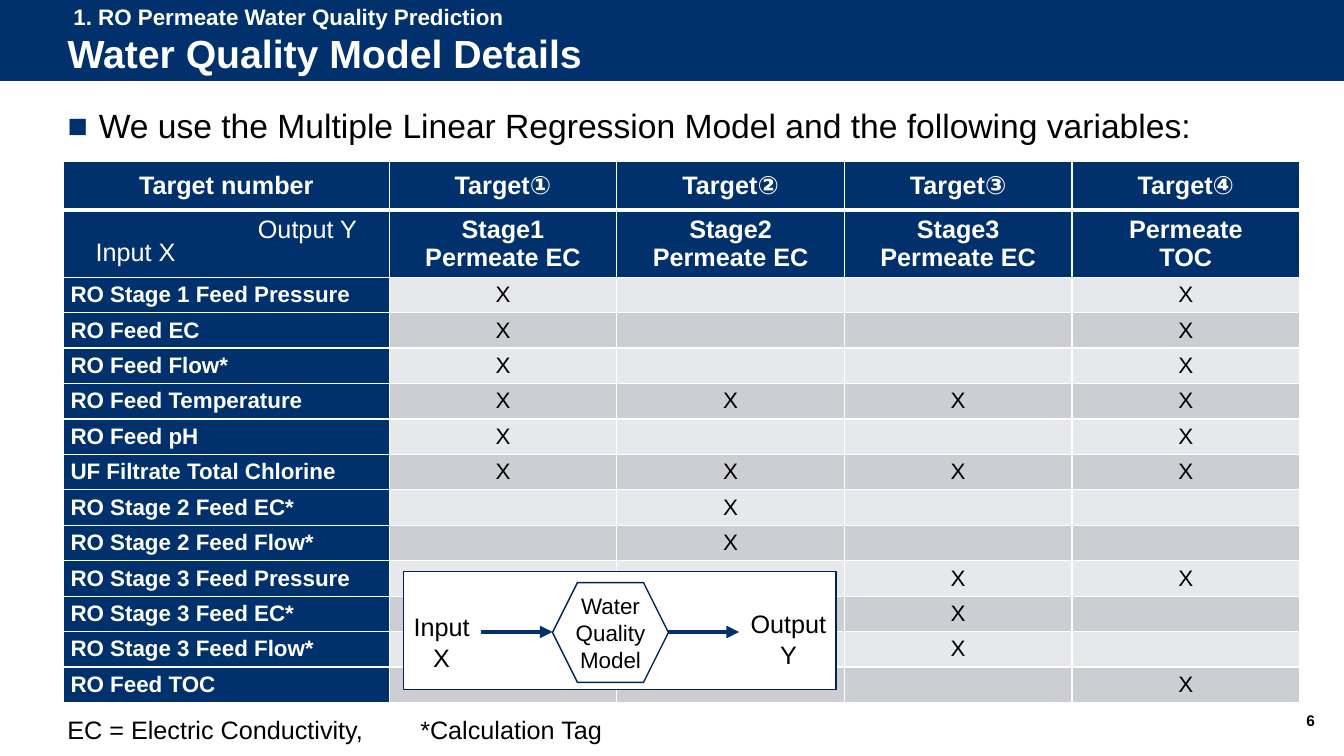
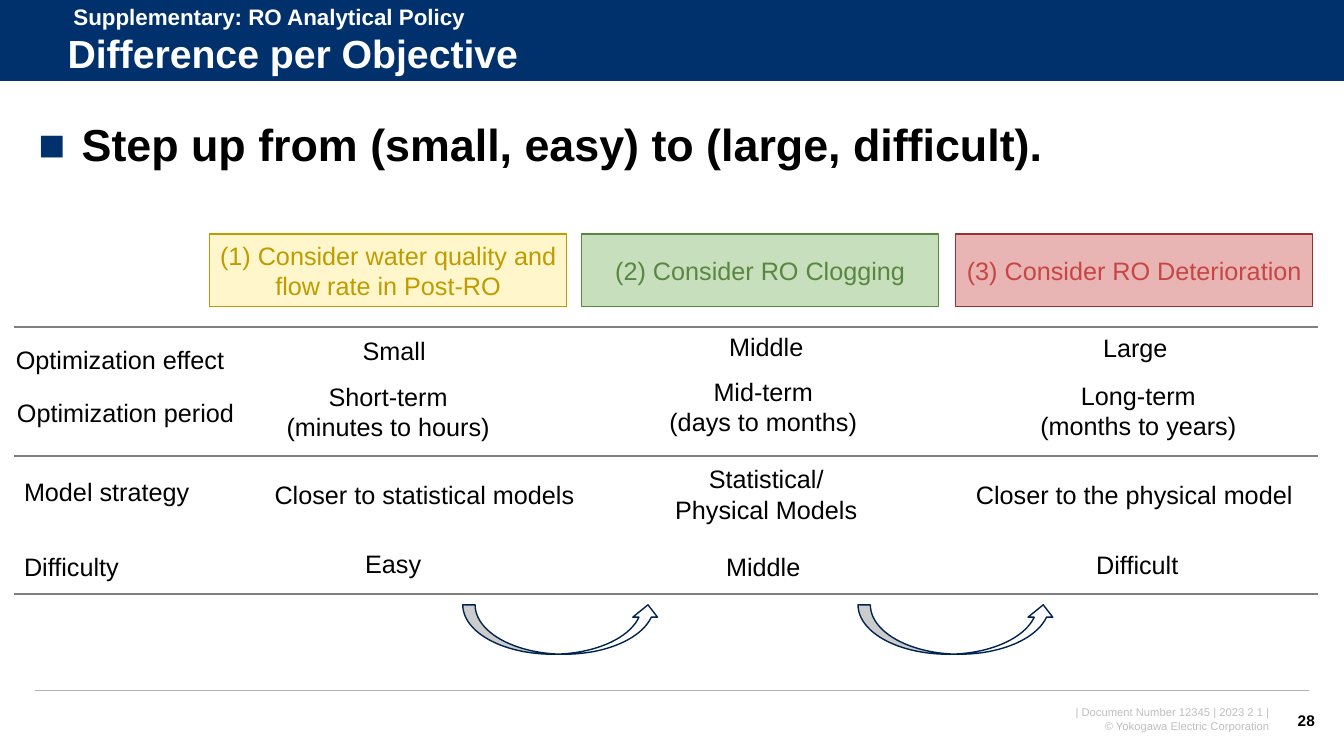
from lxml import etree
from pptx import Presentation
from pptx.dml.color import RGBColor
from pptx.enum import shapes, text
from pptx.oxml import ns
from pptx.util import Inches, Pt

FONT = "Arial"
COLORS = {
    "navy": "00316C", "outline": "002450", "white": "FFFFFF", "black": "000000",
    "row_light": "E7E8EB", "row_dark": "CCCED4", "rule": "808080",
    "foot_rule": "B2B2B2", "foot_text": "BFBFBF",
    "yellow": "FFF6CC", "yellow_edge": "BE9C00",
    "green": "C8DFBD", "green_edge": "588740",
    "red": "E9B5B4", "red_edge": "9A302E", "red_text": "C74643",
}
CENTER, LEFT, RIGHT = text.PP_ALIGN.CENTER, text.PP_ALIGN.LEFT, text.PP_ALIGN.RIGHT
MIDDLE, TOP = text.MSO_ANCHOR.MIDDLE, text.MSO_ANCHOR.TOP
SHAPE = shapes.MSO_SHAPE

SLIDE_W, SLIDE_H = 13.33, 7.5
BAND_H = 0.81
TITLE_BOX = (0.57, 0.27, 12.47, 0.57)
SECTION_BOX = (0.63, -0.02, 9.24, 0.37)
NUMBER_BOX = (12.7, 6.95, 0.44, 0.4)

TARGETS = ["Target①", "Target②", "Target③", "Target④"]
OUTPUTS = ["Stage1\vPermeate EC", "Stage2\vPermeate EC",
           "Stage3\vPermeate EC", "Permeate\vTOC"]
INPUTS = {  # input variable: numbers of the targets that use it
    "RO Stage 1 Feed Pressure": "14",
    "RO Feed EC": "14",
    "RO Feed Flow*": "14",
    "RO Feed Temperature": "1234",
    "RO Feed pH": "14",
    "UF Filtrate Total Chlorine": "1234",
    "RO Stage 2 Feed EC*": "2",
    "RO Stage 2 Feed Flow*": "2",
    "RO Stage 3 Feed Pressure": "34",
    "RO Stage 3 Feed EC*": "3",
    "RO Stage 3 Feed Flow*": "3",
    "RO Feed TOC": "4",
}

OBJECTIVES = [  # text, left, fill, edge, text colour
    ("(1) Consider water quality and flow rate in Post-RO", 2.08,
     "yellow", "yellow_edge", "yellow_edge"),
    ("(2) Consider RO Clogging", 5.77, "green", "green_edge", "green_edge"),
    ("(3) Consider RO Deterioration", 9.48, "red", "red_edge", "red_text"),
]
CRITERIA = [  # (label, left, top), then (text, centre, top) for each objective
    (("Optimization effect", 0.06, 3.37),
     [("Small", 3.91, 3.28), ("Middle", 7.6, 3.24), ("Large", 11.26, 3.25)]),
    (("Optimization period", 0.07, 3.89),
     [("Short-term\n(minutes to hours)", 3.85, 3.73),
      ("Mid-term\n(days to months)", 7.57, 3.68),
      ("Long-term\n(months to years)", 11.29, 3.72)]),
    (("Model strategy", 0.14, 4.68),
     [("Closer to statistical models", 4.21, 4.71),
      ("Statistical/\vPhysical Models", 7.6, 4.55),
      ("Closer to the physical model", 11.25, 4.71)]),
    (("Difficulty", 0.14, 5.42),
     [("Easy", 3.9, 5.39), ("Middle", 7.57, 5.42), ("Difficult", 11.28, 5.4)]),
]


def rgb(name):
    return RGBColor.from_string(COLORS[name])


def set_all(obj, values):
    for name, value in values.items():
        setattr(obj, name, value)


def inches(*lengths):
    return [Inches(n) for n in lengths]


def place(sp, box):
    set_all(sp, dict(zip(("left", "top", "width", "height"), inches(*box))))


def write(tf, words, size=18, color="black", bold=False, align=LEFT, **spacing):
    """Fill a text frame; each line of words becomes a paragraph."""
    tf.text = words
    for p in tf.paragraphs:
        set_all(p, {"alignment": align, **spacing})
        for r in p.runs:
            set_all(r.font, {"name": FONT, "size": Pt(size), "bold": bold})
            r.font.color.rgb = rgb(color)


def add_text(parent, box, words, anchor=TOP, wrap=True, **fmt):
    tf = parent.shapes.add_textbox(*inches(*box)).text_frame
    set_all(tf, {"word_wrap": wrap, "vertical_anchor": anchor})
    write(tf, words, **fmt)
    return tf


def add_box(parent, kind, box, fill, edge=None):
    sp = parent.shapes.add_shape(kind, *inches(*box))
    sp.shadow.inherit = False
    sp.fill.solid()
    sp.fill.fore_color.rgb = rgb(fill)
    if edge:
        sp.line.color.rgb = rgb(edge)
        sp.line.width = Pt(1)
    else:
        sp.line.fill.background()
    return sp


def add_line(parent, start, end, color, width, arrow=False):
    cx = parent.shapes.add_connector(
        shapes.MSO_CONNECTOR.STRAIGHT, *inches(*start, *end))
    cx.line.color.rgb = rgb(color)
    cx.line.width = Pt(width)
    if arrow:
        etree.SubElement(cx.line._get_or_add_ln(), ns.qn("a:tailEnd"), type="triangle")
    etree.SubElement(cx.element.spPr, ns.qn("a:effectLst"))
    return cx


def move_to_layout(layout, parts):
    """Put shapes behind everything else on the layout."""
    for i, sp in enumerate(parts):
        sp.element.xpath(".//p:cNvPr")[0].set("id", str(100 + i))
        layout.shapes.element.insert(2 + i, sp.element)


def add_title_band(s):
    move_to_layout(s.slide_layout, [
        add_box(s, SHAPE.RECTANGLE, (0, 0, SLIDE_W, BAND_H), "navy"),
        add_line(s, (0, BAND_H), (SLIDE_W, BAND_H), "white", 0.75),
    ])


def add_slide(prs, section, title, number):
    s = prs.slides.add_slide(prs.slide_layouts[1])
    sp = s.shapes.title
    place(sp, TITLE_BOX)
    set_all(sp.text_frame, {"vertical_anchor": MIDDLE,
                            "auto_size": text.MSO_AUTO_SIZE.NONE})
    write(sp.text_frame, title, 28, "white", True, line_spacing=0.9)
    add_text(s, SECTION_BOX, section, size=16, color="white", bold=True)
    add_text(s, NUMBER_BOX, number, MIDDLE, False, size=11, bold=True, align=RIGHT)
    return s


def fill_body(s, box, words, indent, **fmt):
    """Write the square-bulleted statement in the body placeholder."""
    sp = s.placeholders[1]
    place(sp, box)
    sp.text_frame.auto_size = text.MSO_AUTO_SIZE.NONE
    write(sp.text_frame, words, line_spacing=0.9, space_before=Pt(0), **fmt)
    pPr = sp.text_frame.paragraphs[0]._p.get_or_add_pPr()
    pPr.set("marL", str(Inches(indent)))
    pPr.set("indent", str(-Inches(indent)))
    clr = etree.SubElement(pPr, ns.qn("a:buClr"))
    etree.SubElement(clr, ns.qn("a:srgbClr"), val=COLORS["navy"])
    etree.SubElement(pPr, ns.qn("a:buFont"), typeface=FONT)
    etree.SubElement(pPr, ns.qn("a:buChar"), char="■")


def add_footer(s, box):
    add_line(s, (0.35, 6.85), (12.98, 6.85), "foot_rule", 1)
    add_text(s, box, "| Document Number 12345 | 2023 2 1 |\n"
             "© Yokogawa Electric Corporation", size=8, color="foot_text", align=RIGHT)


def format_cell(cell, words, fill, below=1, **fmt):
    tcPr = cell._tc.get_or_add_tcPr()
    for side, width in (("L", 1), ("R", 1), ("T", 1), ("B", below)):
        ln = etree.SubElement(tcPr, ns.qn("a:ln" + side), w=str(Pt(width)))
        paint = etree.SubElement(ln, ns.qn("a:solidFill"))
        etree.SubElement(paint, ns.qn("a:srgbClr"), val=COLORS["white"])
    cell.fill.solid()
    cell.fill.fore_color.rgb = rgb(fill)
    set_all(cell, {"margin_left": Inches(0.07), "margin_right": Inches(0.07),
                   "margin_top": 0, "margin_bottom": 0, "vertical_anchor": MIDDLE})
    if words:
        write(cell.text_frame, words, space_after=Pt(6), **fmt)


def add_variable_table(s, box):
    left, top, width, height = box
    heights = [0.48, 0.67]
    heights += [(height - sum(heights)) / len(INPUTS)] * len(INPUTS)
    first = 3.23
    table = s.shapes.add_table(len(heights), 5, *inches(*box)).table
    for row, h in zip(table.rows, heights):
        row.height = Inches(h)
    for i, col in enumerate(table.columns):
        col.width = Inches((width - first) / 4 if i else first)

    head = {"color": "white", "bold": True}
    for r, names in enumerate((["Target number"] + TARGETS, [""] + OUTPUTS)):
        for c, name in enumerate(names):
            format_cell(table.cell(r, c), name, "navy", 1 if r else 3,
                        align=CENTER, **head)
    for r, (name, used) in enumerate(INPUTS.items(), 2):
        format_cell(table.cell(r, 0), name, "navy", size=16, **head)
        for c in range(1, 5):
            format_cell(table.cell(r, c), "X" if str(c) in used else "",
                        "row_dark" if r % 2 else "row_light", size=16, align=CENTER)
    add_text(s, (left + 1.83, top + 0.47, 1.19, 0.4), "Output Y", wrap=False, color="white")
    add_text(s, (left + 0.22, top + 0.7, 1, 0.4), "Input X", wrap=False, color="white")


def add_model_diagram(s, box):
    left, top, width, height = box
    g = s.shapes.add_group_shape()
    add_box(g, SHAPE.RECTANGLE, box, "white", "outline")
    hexagon = add_box(g, SHAPE.HEXAGON, (left + 1.48, top + 0.11, 1.15, 0.99),
                      "white", "outline")
    tf = hexagon.text_frame
    set_all(tf, {"margin_left": 0, "margin_right": 0, "word_wrap": True,
                 "vertical_anchor": MIDDLE})
    write(tf, "Water Quality Model", 16, align=CENTER)
    y = top + 0.6
    for start, end in ((0.77, 1.48), (2.63, 3.33)):
        add_line(g, (left + start, y), (left + end, y), "navy", 3, arrow=True)
    add_text(g, (left, top + 0.35, 0.76, 0.7), "Input\nX", wrap=False, align=CENTER)
    add_text(g, (left + width - 0.95, top + 0.32, 0.96, 0.71), "Output\nY",
             wrap=False, align=CENTER)


def add_table_note(s, box):
    tf = add_text(s, box, "EC = Electric Conductivity,\t*Calculation Tag")
    tabs = etree.SubElement(tf.paragraphs[0]._p.get_or_add_pPr(), ns.qn("a:tabLst"))
    etree.SubElement(tabs, ns.qn("a:tab"), pos=str(Inches(3.5)), algn="l")


def add_objectives(s, top, width, height):
    for words, left, fill, edge, color in OBJECTIVES:
        tf = add_box(s, SHAPE.RECTANGLE, (left, top, width, height), fill, edge).text_frame
        set_all(tf, {"word_wrap": True, "vertical_anchor": MIDDLE})
        write(tf, words, color=color, align=CENTER)


def add_comparison(s, left, right):
    cell_w = 3.5
    for (label, x, y), cells in CRITERIA:
        add_text(s, (x, y, 2.46, 0.4), label)
        for words, center, top in cells:
            lines = len(words.splitlines())
            add_text(s, (center - cell_w / 2, top, cell_w, 0.1 + 0.3 * lines),
                     words, align=CENTER)
    for y in (3.24, 4.52, 5.89):
        add_line(s, (right, y), (left, y), "rule", 1.5)


def add_step_arrow(s, box):
    sp = add_box(s, SHAPE.CURVED_DOWN_ARROW, box, "white", "outline")
    sp.rotation = 180
    sp.element.spPr.get_or_add_xfrm().set("flipH", "1")


def build_model_slide(prs):
    s = add_slide(prs, "1. RO Permeate Water Quality Prediction",
                  "Water Quality Model Details", "6")
    add_title_band(s)
    fill_body(s, (0.57, 1.04, 12.4, 0.59), "We use the Multiple Linear Regression "
              "Model and the following variables:", 0.31, size=24)
    add_variable_table(s, (0.63, 1.6, 12.26, 5.37))
    add_table_note(s, (0.57, 7.04, 5.8, 0.4))
    add_model_diagram(s, (4, 5.67, 4.29, 1.17))


def build_objective_slide(prs):
    s = add_slide(prs, "Supplementary: RO Analytical Policy",
                  "Difference per Objective", "28")
    fill_body(s, (0.28, 1.17, 12.75, 0.66),
              "Step up from (small, easy) to (large, difficult).", 0.43, size=32, bold=True)
    add_footer(s, (9.48, 6.95, 3.21, 0.37))
    add_objectives(s, 2.32, 3.54, 0.72)
    add_comparison(s, 0.14, 13.07)
    for left in (4.59, 8.51):
        add_step_arrow(s, (left, 6, 1.96, 0.49))


def main():
    prs = Presentation()
    prs.slide_width, prs.slide_height = inches(SLIDE_W, SLIDE_H)
    build_model_slide(prs)
    build_objective_slide(prs)
    prs.save("out.pptx")


if __name__ == "__main__":
    main()
